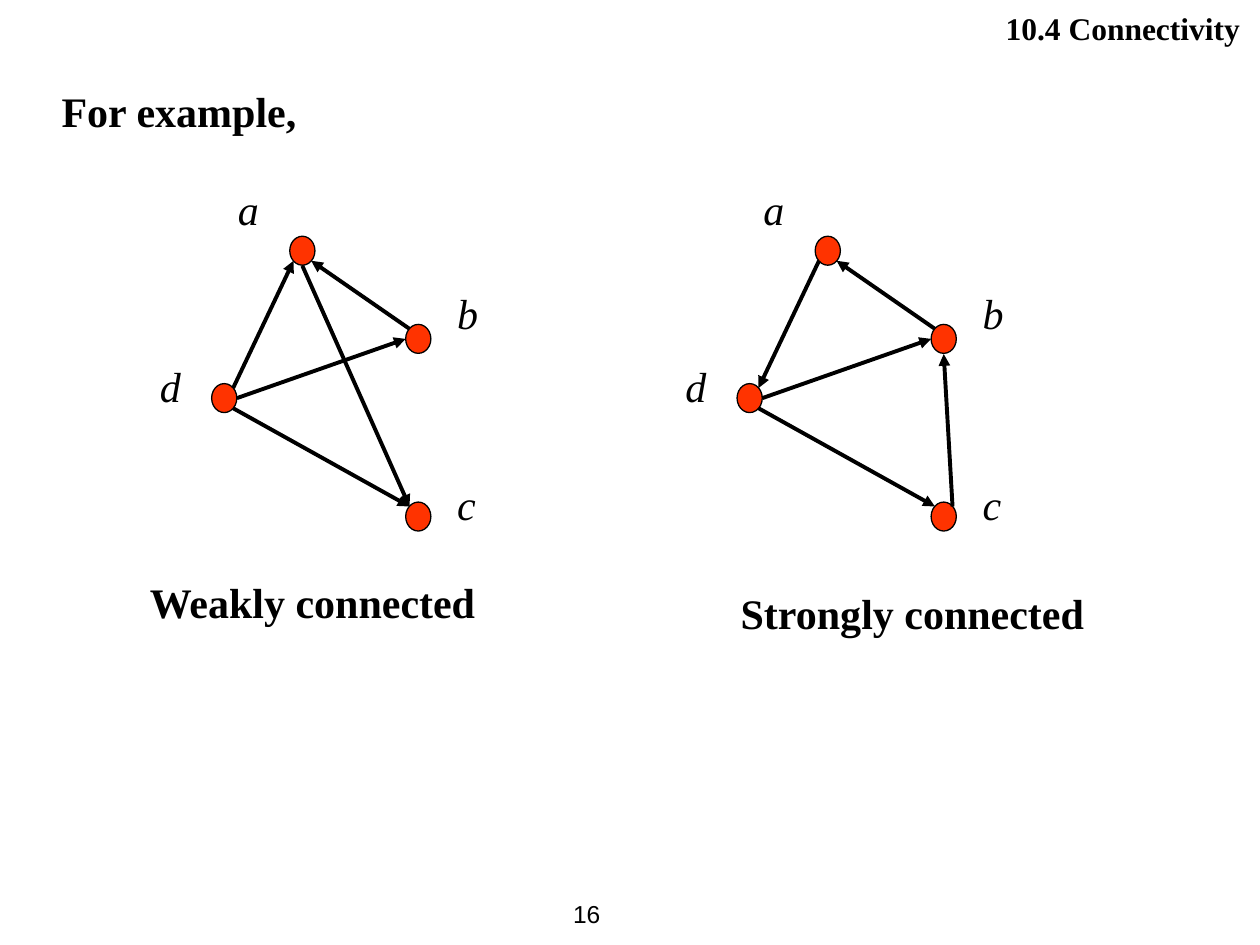
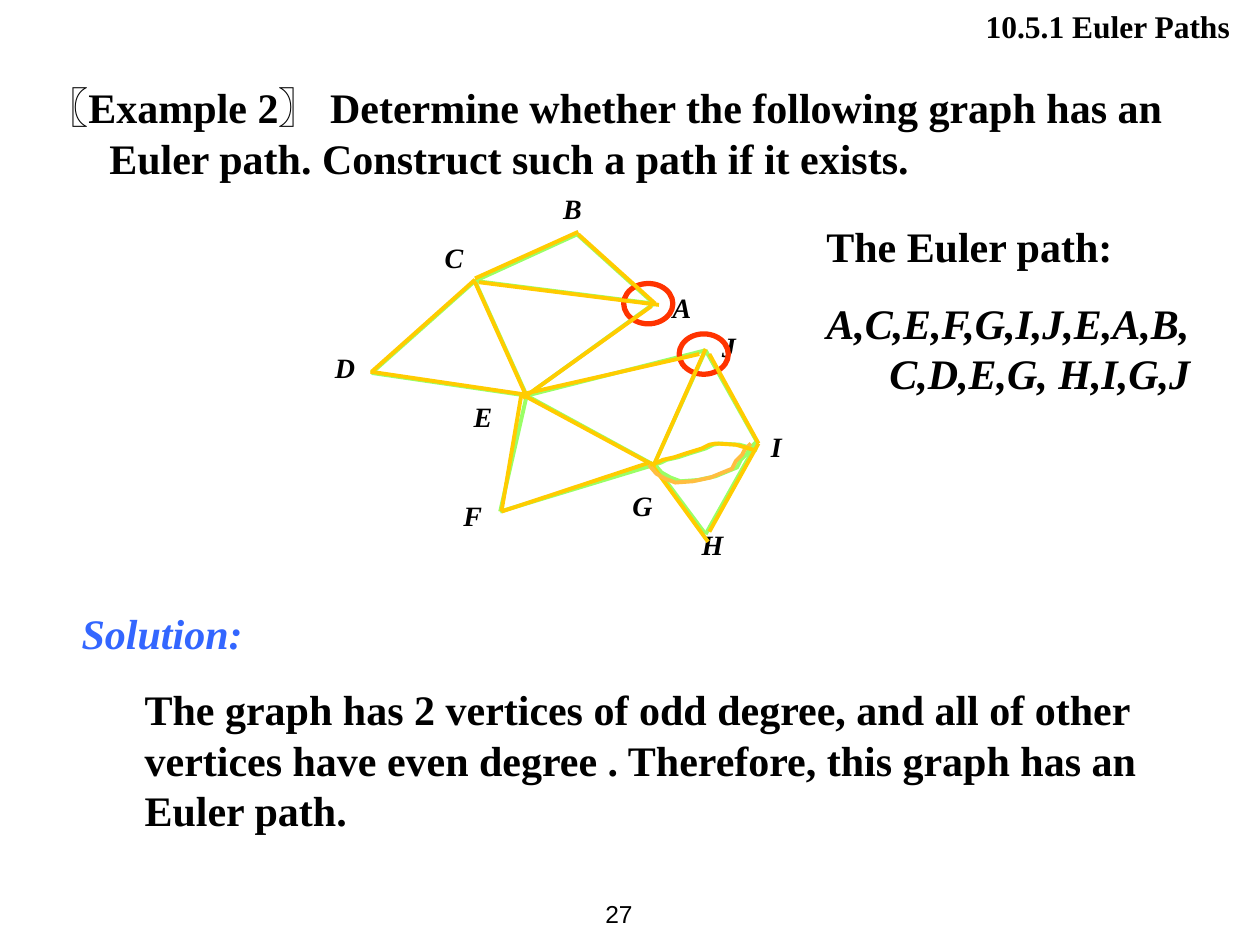
from dataclasses import dataclass
from typing import NamedTuple

from lxml.etree import SubElement
from pptx import Presentation
from pptx.dml.color import RGBColor
from pptx.enum.shapes import MSO_CONNECTOR, MSO_SHAPE
from pptx.enum.text import MSO_ANCHOR, PP_ALIGN
from pptx.oxml.ns import qn
from pptx.util import Inches, Pt


@dataclass(frozen=True)
class Theme:
    black: str = "000000"
    red: str = "FF3300"
    green: str = "99FF66"
    yellow: str = "FFCC00"
    amber: str = "FFBE40"
    blue: str = "3366FF"
    serif: str = "Times New Roman"
    sans: str = "Arial"
    body: float = 24
    header: float = 18
    vertex: float = 16
    page: float = 14
    edge: float = 2.25
    ring: float = 3
    outline: float = 0.75


THEME = Theme()


class Point(NamedTuple):
    x: float
    y: float


class Box(NamedTuple):
    x: float
    y: float
    w: float
    h: float


class Run(NamedTuple):
    text: str
    bold: bool = True
    italic: bool = False
    color: str = THEME.black
    font: str = THEME.serif
    size: float = THEME.body


class Para(NamedTuple):
    runs: list[Run]
    align: PP_ALIGN = PP_ALIGN.LEFT
    left: float = 0
    first: float = 0
    before: float = 0


class Edge(NamedTuple):
    start: str
    start_site: str
    end: str
    end_site: str


def rgb(color: str) -> RGBColor:
    return RGBColor.from_string(color)


def add_text(slide, box: Box, *paras: Para, wrap: bool = True, anchor=MSO_ANCHOR.TOP) -> None:
    tf = slide.shapes.add_textbox(*map(Inches, box)).text_frame
    tf.word_wrap = wrap
    tf.vertical_anchor = anchor
    for i, para in enumerate(paras):
        p = tf.add_paragraph() if i else tf.paragraphs[0]
        p.alignment = para.align
        if para.left:
            pPr = p._p.get_or_add_pPr()
            pPr.set("marL", str(Inches(para.left)))
            pPr.set("indent", str(Inches(para.first)))
        if para.before:
            p.space_before = Pt(para.before)
        for run in para.runs:
            r = p.add_run()
            r.text = run.text
            r.font.name, r.font.size = run.font, Pt(run.size)
            r.font.bold, r.font.italic = run.bold, run.italic
            r.font.color.rgb = rgb(run.color)


def add_line(slide, start: Point, end: Point, color: str, arrow: bool = False) -> None:
    sp = slide.shapes.add_connector(MSO_CONNECTOR.STRAIGHT, *map(Inches, (*start, *end)))
    sp.line.color.rgb = rgb(color)
    sp.line.width = Pt(THEME.edge)
    if arrow:
        SubElement(sp.line._get_or_add_ln(), qn("a:tailEnd"), type="triangle")
    SubElement(sp._element.spPr, qn("a:effectLst"))


def add_curve(slide, points: list[Point], color: str, dx: float = 0, dy: float = 0) -> None:
    corners = [(Inches(x + dx), Inches(y + dy)) for x, y in points]
    builder = slide.shapes.build_freeform(*corners[0])
    builder.add_line_segments(corners[1:], close=False)
    sp = builder.convert_to_shape()
    sp.shadow.inherit = False
    sp.fill.background()
    sp.line.color.rgb = rgb(color)
    sp.line.width = Pt(THEME.edge)


def add_round(slide, kind: MSO_SHAPE, box: Box, line: str, width: float, fill: str = "") -> None:
    sp = slide.shapes.add_shape(kind, *map(Inches, box))
    sp.shadow.inherit = False
    if fill:
        sp.fill.solid()
        sp.fill.fore_color.rgb = rgb(fill)
    else:
        sp.fill.background()
    sp.line.color.rgb = rgb(line)
    sp.line.width = Pt(width)


def add_slide(prs, header: str, header_box: Box, page: str, page_align: PP_ALIGN):
    slide = prs.slides.add_slide(prs.slide_layouts[6])
    add_text(slide, Box(4.45, 7, 0.67, 0.5),
             Para([Run(page, bold=False, font=THEME.sans, size=THEME.page)], page_align),
             wrap=False, anchor=MSO_ANCHOR.MIDDLE)
    add_text(slide, header_box, Para([Run(header, size=THEME.header)], PP_ALIGN.RIGHT))
    return slide


# Directed graphs: centres of the vertices, and the points where edges touch them
DOT_W, DOT_H = 0.2, 0.23
DOTS = {"a": Point(2.4, 1.99), "b": Point(3.32, 2.69),
        "c": Point(3.32, 4.1), "d": Point(1.78, 3.16)}
DOT_LABELS = {"a": Point(1.79, 1.41), "b": Point(3.53, 2.23),
              "c": Point(3.53, 3.75), "d": Point(1.17, 2.81)}
SITES = {"left": Point(-0.1, 0), "right": Point(0.1, 0), "bottom": Point(0, 0.12),
         "top left": Point(-0.07, -0.08), "top right": Point(0.07, -0.08),
         "bottom left": Point(-0.07, 0.08), "bottom right": Point(0.07, 0.08)}
SHARED_EDGES = [Edge("b", "top left", "a", "bottom right"),
                Edge("d", "right", "b", "left"),
                Edge("d", "bottom right", "c", "top left")]
WEAK_EDGES = SHARED_EDGES + [Edge("d", "top right", "a", "bottom left"),
                             Edge("a", "bottom", "c", "top left")]
STRONG_EDGES = SHARED_EDGES + [Edge("a", "bottom left", "d", "top right"),
                               Edge("c", "top right", "b", "bottom")]


def add_digraph(slide, edges: list[Edge], dx: float) -> None:
    for name, (x, y) in DOTS.items():
        add_round(slide, MSO_SHAPE.FLOWCHART_CONNECTOR,
                  Box(x + dx - DOT_W / 2, y - DOT_H / 2, DOT_W, DOT_H),
                  THEME.black, THEME.outline, THEME.red)
        label = DOT_LABELS[name]
        add_text(slide, Box(label.x + dx, label.y, 0.82, 0.5),
                 Para([Run(name, bold=False, italic=True)]))

    def touch(name: str, site: str) -> Point:
        return Point(DOTS[name].x + SITES[site].x + dx, DOTS[name].y + SITES[site].y)

    for edge in edges:
        add_line(slide, touch(edge.start, edge.start_site), touch(edge.end, edge.end_site),
                 THEME.black, arrow=True)


def build_connectivity(prs) -> None:
    slide = add_slide(prs, "10.4 Connectivity", Box(6.75, 0.02, 3.19, 0.4), "16", PP_ALIGN.LEFT)
    add_text(slide, Box(0.39, 0.63, 8.11, 0.63), Para([Run("For example,")]))
    add_digraph(slide, WEAK_EDGES, dx=0)
    add_digraph(slide, STRONG_EDGES, dx=4.17)
    add_text(slide, Box(1.09, 4.53, 2.99, 0.63), Para([Run("Weakly connected")]))
    add_text(slide, Box(5.78, 4.61, 2.99, 0.63), Para([Run("Strongly connected")]))


# Euler graph: vertices, labels, and the path traced over the edges
VERTICES = {"A": Point(5.19, 2.41), "B": Point(4.58, 1.86), "C": Point(3.77, 2.23),
            "D": Point(2.95, 2.96), "E": Point(4.18, 3.14), "F": Point(3.97, 4.06),
            "G": Point(5.19, 3.69), "H": Point(5.6, 4.24), "I": Point(6.01, 3.51),
            "J": Point(5.6, 2.78)}
VERTEX_LABELS = {"A": Point(5.24, 2.26), "B": Point(4.37, 1.47), "C": Point(3.43, 1.86),
                 "D": Point(2.56, 2.73), "E": Point(3.66, 3.12), "F": Point(3.58, 3.91),
                 "G": Point(4.92, 3.83), "H": Point(5.47, 4.14), "I": Point(6.02, 3.36),
                 "J": Point(5.63, 2.57)}
STRAIGHT_EDGES = "CD DE EC GJ GE FG JE CB CA BA AE EF JI GH HI".split()
UPPER_ARC = [Point(5.19, 3.69), Point(5.25, 3.67), Point(5.29, 3.65), Point(5.38, 3.63),
             Point(5.47, 3.6), Point(5.6, 3.56), Point(5.66, 3.53), Point(5.71, 3.52),
             Point(5.87, 3.53), Point(6.01, 3.57)]
LOWER_ARC = [Point(5.19, 3.68), Point(5.25, 3.75), Point(5.32, 3.79), Point(5.4, 3.82),
             Point(5.54, 3.81), Point(5.68, 3.78), Point(5.85, 3.71), Point(5.88, 3.65),
             Point(5.93, 3.6), Point(5.95, 3.56), Point(6, 3.51)]
TRACED = [(Point(3.77, 2.22), Point(2.95, 2.95)), (Point(2.94, 2.95), Point(4.16, 3.13)),
          (Point(4.18, 3.15), Point(3.77, 2.24)), (Point(5.19, 3.69), Point(5.6, 2.77)),
          (Point(5.2, 3.7), Point(4.18, 3.15)), (Point(3.77, 2.21), Point(4.59, 1.84)),
          (Point(3.8, 2.24), Point(5.23, 2.42)), (Point(4.59, 1.86), Point(5.2, 2.41)),
          (Point(5.17, 2.43), Point(4.15, 3.16)), (Point(3.98, 4.06), Point(4.14, 3.12)),
          (Point(5.16, 3.67), Point(3.98, 4.06)), (Point(6.02, 3.52), Point(5.63, 2.81)),
          (Point(4.14, 3.13), Point(5.55, 2.81)), (Point(5.62, 4.3), Point(5.16, 3.67)),
          (Point(5.63, 4.22), Point(6.02, 3.52))]
ODD_VERTEX_RINGS = [Point(4.95, 2.25), Point(5.39, 2.65)]


def add_euler_graph(slide) -> None:
    for start, end in STRAIGHT_EDGES:
        add_line(slide, VERTICES[start], VERTICES[end], THEME.green)
    for arc in (UPPER_ARC, LOWER_ARC):
        add_curve(slide, arc, THEME.green)
    for name, (x, y) in VERTEX_LABELS.items():
        add_text(slide, Box(x, y, 0.38, 0.33),
                 Para([Run(name, italic=True, size=THEME.vertex)]))
    for x, y in ODD_VERTEX_RINGS:
        add_round(slide, MSO_SHAPE.OVAL, Box(x, y, 0.39, 0.32), THEME.red, THEME.ring)
    for start, end in TRACED:
        add_line(slide, start, end, THEME.yellow)
    add_curve(slide, LOWER_ARC, THEME.amber, dx=-0.04, dy=0.01)
    add_curve(slide, UPPER_ARC, THEME.yellow, dx=-0.03)


def build_euler_paths(prs) -> None:
    slide = add_slide(prs, "10.5.1 Euler Paths", Box(3.98, 0.01, 5.88, 0.4), "27", PP_ALIGN.RIGHT)
    add_text(slide, Box(0.27, 0.6, 9.14, 0.9), Para([
        Run("〖", font=THEME.sans), Run("Example 2"), Run("〗 ", font=THEME.sans),
        Run("Determine whether the following graph has an Euler path. "
            "Construct such a path if it exists.")], left=0.5, first=-0.5))
    add_euler_graph(slide)
    add_text(slide, Box(0.55, 4.77, 9.14, 1.91),
             Para([Run("Solution:", italic=True, color=THEME.blue)], left=0.5, first=-0.5),
             Para([Run("The graph has 2 vertices of odd degree, and all of other vertices have "
                       "even degree . Therefore, this graph has an Euler path.")],
                  left=0.5, before=15))
    add_text(slide, Box(6.46, 1.7, 3.27, 1.51),
             Para([Run("The Euler path:")], left=0.5, first=-0.5),
             Para([Run("A,C,E,F,G,I,J,E,A,B,C,D,E,G, H,I,G,J", italic=True)],
                  left=0.5, first=-0.5, before=15))


def main() -> None:
    prs = Presentation()
    prs.slide_width, prs.slide_height = Inches(10), Inches(7.5)
    build_connectivity(prs)
    build_euler_paths(prs)
    prs.save("out.pptx")


if __name__ == "__main__":
    main()
